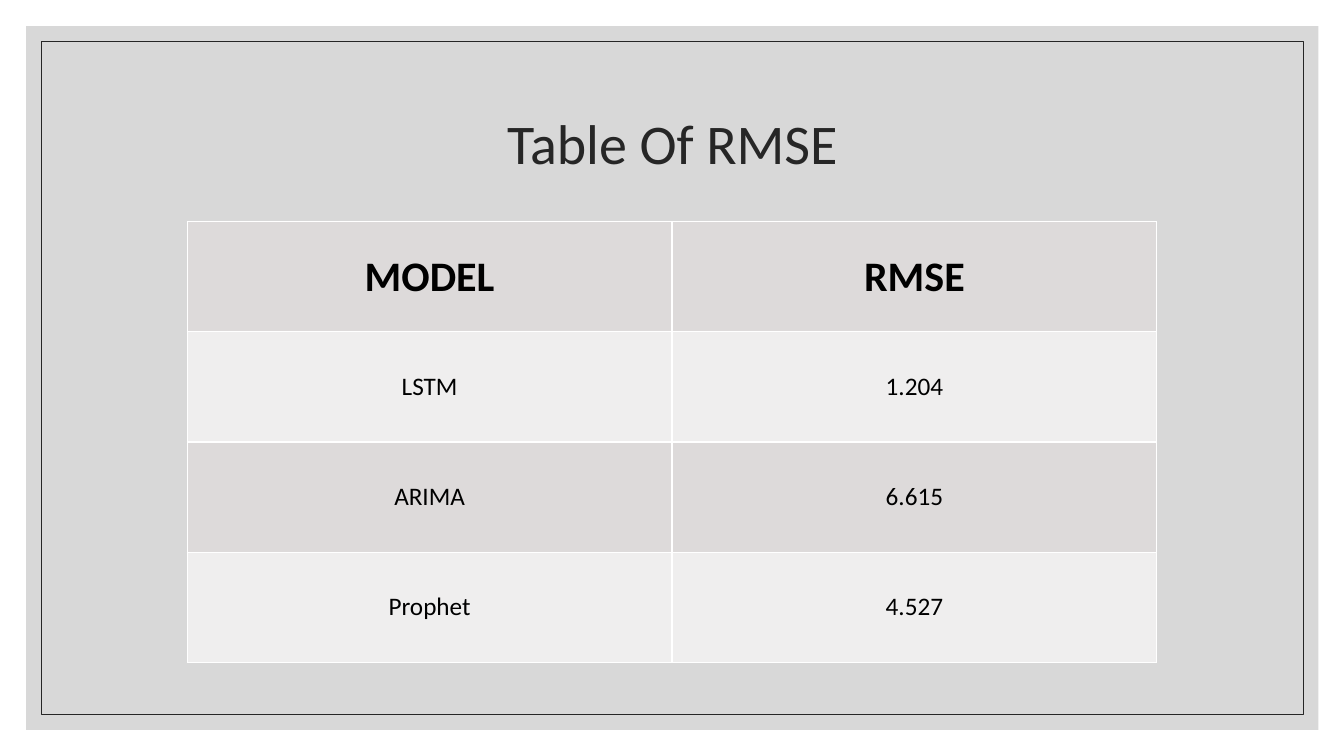
from pptx import Presentation
from pptx import util as u
from pptx.dml.color import RGBColor
from pptx.enum import shapes, text
from pptx.oxml import parse_xml
from pptx.oxml.ns import nsdecls

COLORS = {
    "panel": "BFBFBF",
    "ink": "262626",
    "cell_text": "000000",
    "border": "FFFFFF",
    "dark_band": "DDDADA",
    "light_band": "EFEEEE",
}
ROWS = [("MODEL", "RMSE"), ("LSTM", "1.204"), ("ARIMA", "6.615"), ("Prophet", "4.527")]


def color(name):
    return RGBColor.from_string(COLORS[name])


class SlideBuilder:
    """Draws on one slide; boxes are (left, top, width, height) in percent of it."""

    font = "Calibri"

    def __init__(self, presentation):
        self.width = presentation.slide_width
        self.height = presentation.slide_height
        self.slide = presentation.slides.add_slide(presentation.slide_layouts[6])

    def place(self, box):
        sides = (self.width, self.height) * 2
        return [round(side * share / 100) for side, share in zip(sides, box)]

    def style(self, paragraph, size, ink, bold=False):
        paragraph.alignment = text.PP_ALIGN.CENTER
        paragraph.font.name = self.font
        paragraph.font.size = u.Pt(size)
        paragraph.font.bold = bold
        paragraph.font.color.rgb = color(ink)

    def rectangle(self, box, fill=None, opacity=100, line=None):
        shape = self.slide.shapes.add_shape(shapes.MSO_SHAPE.RECTANGLE, *self.place(box))
        shape.shadow.inherit = False
        if fill:
            shape.fill.solid()
            shape.fill.fore_color.rgb = color(fill)
            fill_color = shape._element.spPr.find(".//{*}srgbClr")
            fill_color.append(parse_xml(f'<a:alpha {nsdecls("a")} val="{opacity * 1000}"/>'))
        else:
            shape.fill.background()
        if line:
            shape.line.color.rgb = color(line)
            shape.line.width = u.Pt(0.5)
        else:
            shape.line.fill.background()

    def title(self, box, words):
        frame = self.slide.shapes.add_textbox(*self.place(box)).text_frame
        frame.word_wrap = True
        frame.vertical_anchor = text.MSO_ANCHOR.MIDDLE
        paragraph = frame.paragraphs[0]
        paragraph.text = words
        paragraph.line_spacing = 0.9
        self.style(paragraph, 40, "ink")

    def border(self, cell):
        properties = cell._tc.get_or_add_tcPr()
        for side in ("lnL", "lnR", "lnT", "lnB"):
            properties.append(parse_xml(
                f'<a:{side} {nsdecls("a")} w="{u.Pt(1)}"><a:solidFill>'
                f'<a:srgbClr val="{COLORS["border"]}"/></a:solidFill></a:{side}>'))

    def table(self, box, rows):
        table = self.slide.shapes.add_table(len(rows), len(rows[0]), *self.place(box)).table
        for row, values in enumerate(rows):
            for column, value in enumerate(values):
                cell = table.cell(row, column)
                cell.text = value
                cell.vertical_anchor = text.MSO_ANCHOR.MIDDLE
                self.border(cell)
                cell.fill.solid()
                cell.fill.fore_color.rgb = color("light_band" if row % 2 else "dark_band")
                header = row == 0
                self.style(cell.text_frame.paragraphs[0], 30 if header else 18,
                           "cell_text", bold=header)


def main():
    presentation = Presentation()
    presentation.slide_width = u.Inches(13.33)
    presentation.slide_height = u.Inches(7.5)
    builder = SlideBuilder(presentation)
    builder.rectangle((1.95, 3.47, 96.15, 93.07), fill="panel", opacity=60)
    builder.rectangle((3.08, 5.47, 93.92, 89.07), line="ink")
    builder.title((8.78, 9.33, 82.5, 20), "Table Of RMSE")
    builder.table((13.93, 29.33, 72.15, 58.27), ROWS)
    presentation.save("out.pptx")


if __name__ == "__main__":
    main()
